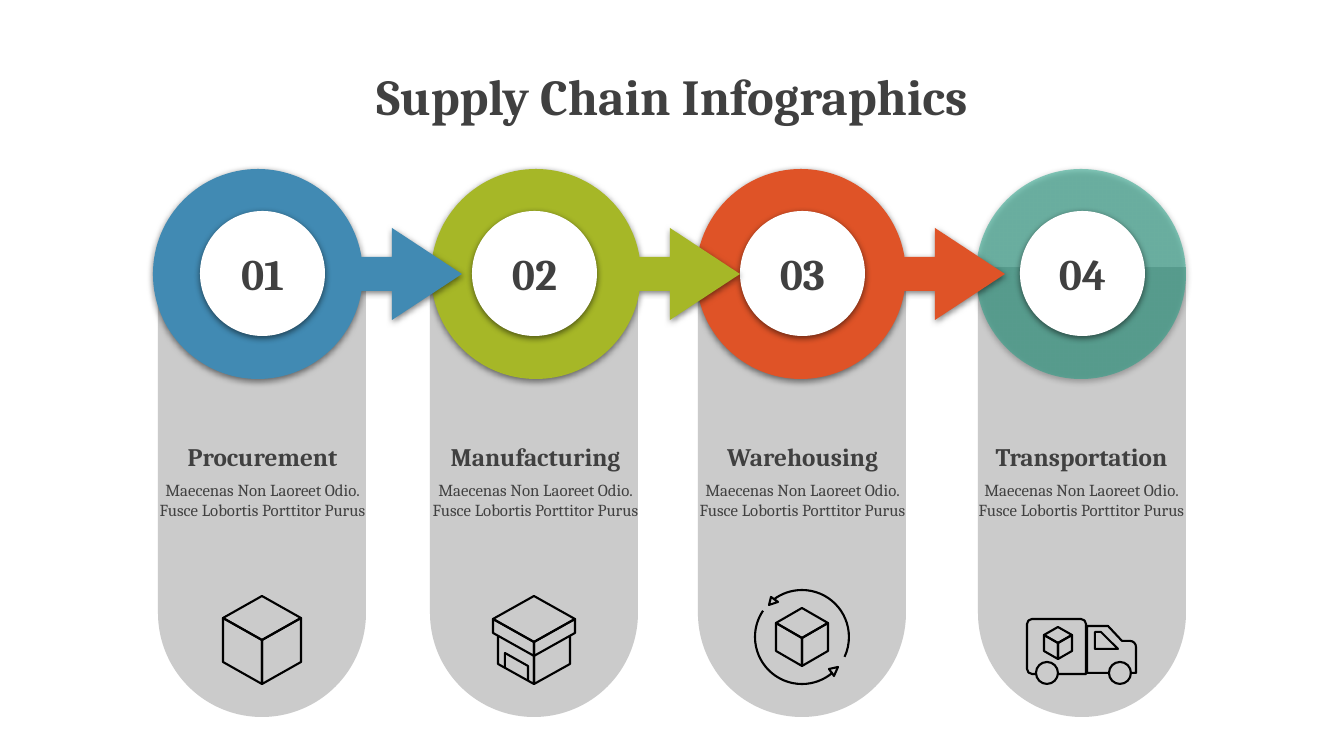
from math import ceil, cos, floor, radians, sin, tan

from pptx import Presentation
from pptx.dml.color import RGBColor
from pptx.enum.shapes import MSO_SHAPE
from pptx.enum.text import MSO_ANCHOR, MSO_AUTO_SIZE, PP_ALIGN
from pptx.oxml import parse_xml
from pptx.oxml.ns import nsdecls
from pptx.util import Pt

OVAL = MSO_SHAPE.OVAL
CAPSULE = MSO_SHAPE.ROUND_2_SAME_RECTANGLE
CENTER = PP_ALIGN.CENTER
MIDDLE = MSO_ANCHOR.MIDDLE
NO_FIT = MSO_AUTO_SIZE.NONE

TITLE = "Supply Chain Infographics"
BODY = "Maecenas Non Laoreet Odio. Fusce Lobortis Porttitor Purus"
STEPS = [
    ("01", "Procurement", "418AB3", 158, 258, 151),
    ("02", "Manufacturing", "A6B727", 430, 536, 424),
    ("03", "Warehousing", "DF5327", 698, 801, 691),
    ("04", "Transportation", "1EA185", 978, 1081, 970),
]
FONT, INK, GREY, WHITE, BLACK = "Cambria", "404040", "A6A6A6", "FFFFFF", "000000"

PX = 914400 / 100.8
FINE = 100
COLUMN_W, COLUMN_TOP, COLUMN_H = 208, 267, 450
RING_Y, RING_R = 274, 105
HOLE_TOP, HOLE_D = 211, 125
SHAFT, HEAD, HEAD_X, TIP_X = 17, 46, 134, 204


def px(n):
    return round(n * PX)


def rgb(color):
    return RGBColor.from_string(color)


def arc(cx, cy, r, start, end):
    def at(a, reach=0):
        c, d = cos(radians(a)), sin(radians(a))
        return cx + r * (c - reach * d), cy + r * (d + reach * c)

    quarters = range(floor(start / 90) + 1, ceil(end / 90))
    stops = [start, *(90 * q for q in quarters), end]
    path = [at(start)]
    for a, b in zip(stops, stops[1:]):
        reach = 4 / 3 * tan(radians(b - a) / 4)
        path.append((at(a, reach), at(b, -reach), at(b)))
    return path


def cube(cx, top, half, rise, side):
    left, right = cx - half, cx + half
    shoulder, middle = top + rise, top + 2 * rise
    return [
        ([(cx, top), (right, shoulder), (cx, middle), (left, shoulder)], True),
        ([(left, shoulder), (cx, middle), (cx, middle + side), (left, shoulder + side)], True),
        ([(right, shoulder), (cx, middle), (cx, middle + side), (right, shoulder + side)], True),
    ]


ICONS = [
    *cube(262, 596, 39, 22, 44),
    *cube(534, 596, 41, 23, 14),
    ([(498, 635), (498, 664), (534, 684), (534, 656)], False),
    ([(570, 635), (570, 664), (534, 684), (534, 656)], False),
    ([(528, 681), (528, 666), (505, 653), (505, 667)], False),
    *cube(802, 608, 26, 15, 28),
    (arc(802, 637, 47, 49, 214), False),
    (arc(802, 637, 47, 233, 385), False),
    ([(771, 597), (778, 602), (769, 605)], True),
    ([(834, 676), (829, 669), (838, 667)], True),
    *cube(1058, 627, 14, 8, 16),
    ([(1109, 673), (1087, 673), (1087, 626), (1108, 626), (1122, 641)]
     + arc(1130, 647, 6, 270, 360) + [(1136, 673), (1130, 673)], False),
    ([(1036, 674)] + arc(1032, 669, 5, 90, 180) + arc(1032, 624, 5, 180, 270)
     + arc(1081, 624, 5, 270, 360) + [(1086, 674), (1058, 674)], False),
    ([(1095, 632), (1095, 649), (1118, 649), (1101, 632)], True),
    (arc(1047, 673, 11, 0, 360), True),
    (arc(1120, 673, 11, 0, 360), True),
]

prs = Presentation()
prs.slide_width, prs.slide_height = px(1344), px(756)
s = prs.slides.add_slide(prs.slide_layouts[5])


def outline(path, closed=True):
    steps = [step if isinstance(step[0], tuple) else (step,) for step in path]
    fine = [(x * FINE, y * FINE) for step in steps for x, y in step]
    builder = s.shapes.build_freeform(*fine[0], scale=PX / FINE)
    builder.add_line_segments(fine[1:], close=closed)
    sp = builder.convert_to_shape()
    sp.shadow.inherit = False
    lines = iter(sp._element.findall(".//{*}lnTo"))
    for step in steps[1:]:
        first, *rest = [next(lines) for _ in step]
        if rest:
            curve = parse_xml(f'<a:cubicBezTo {nsdecls("a")}/>')
            first.addprevious(curve)
            for line in (first, *rest):
                curve.append(line[0])
                line.getparent().remove(line)
    return sp


def preset(kind, x, y, w, h):
    sp = s.shapes.add_shape(kind, px(x), px(y), px(w), px(h))
    sp.shadow.inherit = False
    return sp


def paint(sp, color, alpha=100):
    sp.fill.solid()
    sp.fill.fore_color.rgb = rgb(color)
    sp.line.fill.background()
    if alpha < 100:
        clr = sp.fill._xPr.find(".//{*}srgbClr")
        clr.append(parse_xml(f'<a:alpha {nsdecls("a")} val="{alpha * 1000}"/>'))


def add_shadow(sp):
    effects = sp._element.spPr.find("{*}effectLst")
    effects.append(parse_xml(
        f'<a:outerShdw {nsdecls("a")} blurRad="{Pt(4.5)}" dist="{Pt(1.5)}" dir="5400000" '
        'algn="ctr" rotWithShape="0"><a:srgbClr val="000000"><a:alpha val="50000"/>'
        '</a:srgbClr></a:outerShdw>'))


def write(p, text, size, bold=True):
    p.text = text
    p.alignment = CENTER
    p.font.name, p.font.size, p.font.bold = FONT, Pt(size), bold
    p.font.color.rgb = rgb(INK)


def arrow_ring(cx):
    ring = arc(cx, RING_Y, RING_R, 9.3, 350.7)
    head = [(HEAD_X, -SHAFT), (HEAD_X, -HEAD), (TIP_X, 0), (HEAD_X, HEAD), (HEAD_X, SHAFT)]
    return outline(ring + [(cx + x, RING_Y + y) for x, y in head])


title = s.shapes.title
title.left, title.top, title.width, title.height = px(0), px(60), px(1344), px(71)
title.text_frame.auto_size = NO_FIT
title.text_frame.vertical_anchor = MIDDLE
write(title.text_frame.paragraphs[0], TITLE, 36)

for number, name, color, left, ring_x, text_x in reversed(STEPS):
    column = preset(CAPSULE, left, COLUMN_TOP, COLUMN_W, COLUMN_H)
    column.adjustments[0], column.adjustments[1] = 0, 0.5
    paint(column, GREY, 58)

    if number == STEPS[-1][0]:
        ring = preset(OVAL, ring_x - RING_R, RING_Y - RING_R, 2 * RING_R, 2 * RING_R)
        paint(ring, color, 52)
    else:
        ring = arrow_ring(ring_x)
        paint(ring, color)
    add_shadow(ring)

    hole = preset(OVAL, left + (COLUMN_W - HOLE_D + 1) // 2, HOLE_TOP, HOLE_D, HOLE_D)
    paint(hole, WHITE)
    add_shadow(hole)
    tf = hole.text_frame
    tf.word_wrap = False
    tf.vertical_anchor = MIDDLE
    write(tf.paragraphs[0], number, 31)

for path, closed in ICONS:
    sp = outline(path, closed)
    sp.fill.background()
    sp.line.color.rgb = rgb(BLACK)
    sp.line.width = Pt(1.5)

for number, name, color, left, ring_x, text_x in STEPS:
    tf = s.shapes.add_textbox(px(text_x), px(441), px(223), px(100)).text_frame
    tf.word_wrap = True
    tf.margin_left = tf.margin_right = tf.margin_top = tf.margin_bottom = 0
    write(tf.paragraphs[0], name, 18)
    p = tf.add_paragraph()
    write(p, BODY, 12, False)
    p.space_before = Pt(6)

prs.save("out.pptx")
